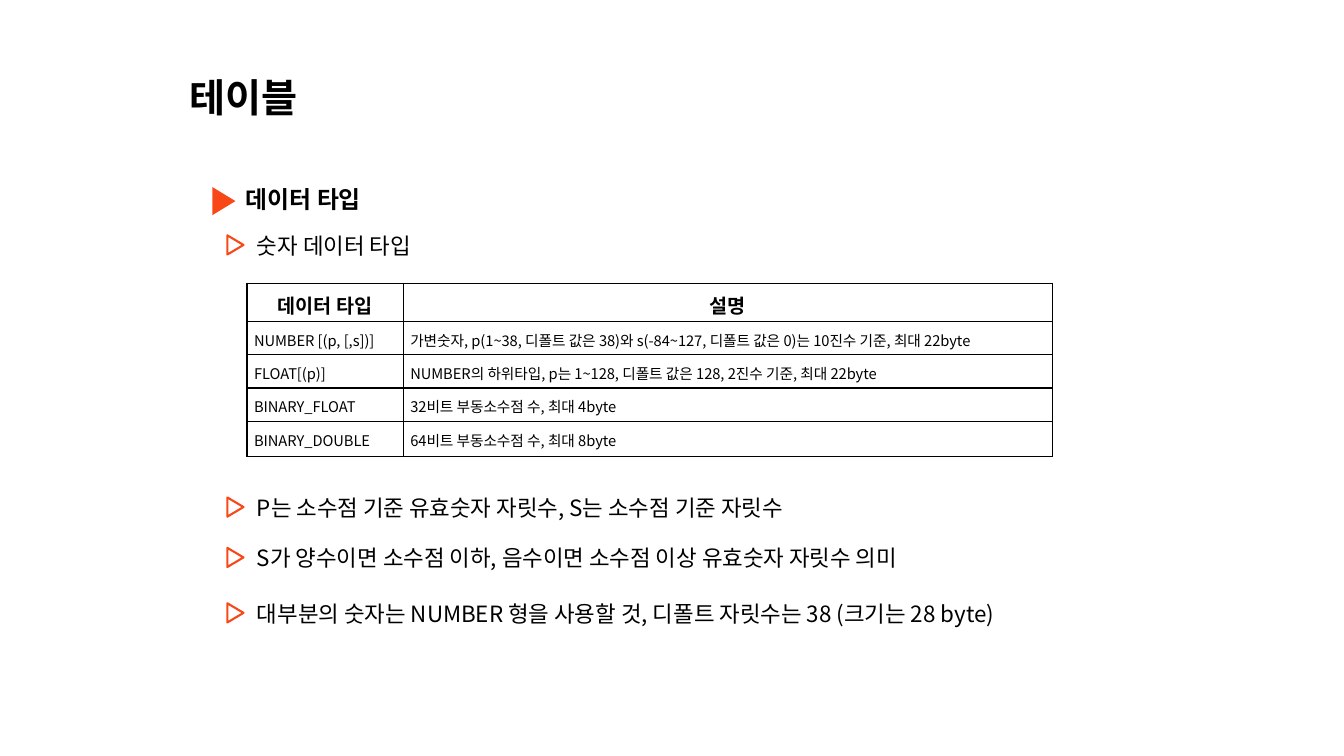
from pptx import Presentation
from pptx.dml.color import RGBColor
from pptx.enum.shapes import MSO_SHAPE
from pptx.enum.text import MSO_ANCHOR, MSO_AUTO_SIZE, PP_ALIGN
from pptx.oxml import parse_xml
from pptx.oxml.ns import nsdecls
from pptx.util import Inches, Pt

FONT = "Noto Sans CJK KR"
COLORS = {"text": "000000", "accent": "F84818", "paper": "FFFFFF"}
COLUMN_WIDTHS = [1.55, 6.44]
ROW_HEIGHTS = [0.38, 0.33, 0.33, 0.33, 0.35]
DATA_TYPES = [
    ["데이터 타입", "설명"],
    ["NUMBER [(p, [,s])]",
     "가변숫자, p(1~38, 디폴트 값은 38)와 s(-84~127, 디폴트 값은 0)는 10진수 기준, 최대 22byte"],
    ["FLOAT[(p)]", "NUMBER의 하위타입, p는 1~128, 디폴트 값은 128, 2진수 기준, 최대 22byte"],
    ["BINARY_FLOAT", "32비트 부동소수점 수, 최대 4byte"],
    ["BINARY_DOUBLE", "64비트 부동소수점 수, 최대 8byte"],
]
POINTS = [
    (2.25, "숫자 데이터 타입"),
    (4.85, "P는 소수점 기준 유효숫자 자릿수, S는 소수점 기준 자릿수"),
    (5.35, "S가 양수이면 소수점 이하, 음수이면 소수점 이상 유효숫자 자릿수 의미"),
    (5.9, "대부분의 숫자는 NUMBER 형을 사용할 것, 디폴트 자릿수는 38 (크기는 28 byte)"),
]


def color(name):
    return RGBColor.from_string(COLORS[name])


def add_span(para, text, size, bold=False):
    span = para.add_run()
    span.text = text
    span.font.name = FONT
    span.font.size = Pt(size)
    span.font.bold = bold
    span.font.color.rgb = color("text")
    span.font._element.append(
        parse_xml(f'<a:ea {nsdecls("a")} typeface="{FONT}"/>'))


def fill_box(box, text, size, bold=False):
    frame = box.text_frame
    frame.word_wrap = True
    frame.auto_size = MSO_AUTO_SIZE.SHAPE_TO_FIT_TEXT
    frame.vertical_anchor = MSO_ANCHOR.TOP
    para = frame.paragraphs[0]
    para.alignment = PP_ALIGN.LEFT
    add_span(para, text, size, bold)


def set_title(page, text):
    title = page.shapes.title
    title.left, title.top = Inches(1.78), Inches(0.68)
    title.width, title.height = Inches(4.41), Inches(0.57)
    fill_box(title, text, 28, bold=True)


def add_line_of_text(page, left, top, width, height, text, size, bold=False):
    box = page.shapes.add_textbox(
        Inches(left), Inches(top), Inches(width), Inches(height))
    fill_box(box, text, size, bold)


def add_marker(page, left, top, width, height, fill, outlined):
    marker = page.shapes.add_shape(
        MSO_SHAPE.FLOWCHART_EXTRACT,
        Inches(left), Inches(top), Inches(width), Inches(height))
    marker.rotation = 90
    marker.shadow.inherit = False
    marker.fill.solid()
    marker.fill.fore_color.rgb = color(fill)
    if outlined:
        marker.line.color.rgb = color("accent")
        marker.line.width = Pt(1.5)
    else:
        marker.line.fill.background()


def add_heading(page, text):
    add_line_of_text(page, 2.34, 1.78, 5, 0.39, text, 17, bold=True)
    add_marker(page, 2.08, 1.88, 0.28, 0.23, "accent", outlined=False)


def add_point(page, top, text):
    add_line_of_text(page, 2.45, top, 9.25, 0.37, text, 16)
    add_marker(page, 2.24, top + 0.1, 0.19, 0.16, "paper", outlined=True)


def format_cell(cell, text, header):
    cell.fill.background()
    cell.vertical_anchor = MSO_ANCHOR.MIDDLE
    cell.margin_left = cell.margin_right = Inches(0.07)
    cell.margin_top = cell.margin_bottom = 0
    properties = cell._tc.get_or_add_tcPr()
    for position, side in enumerate("LRTB"):
        properties.insert(position, parse_xml(
            f'<a:ln{side} {nsdecls("a")} w="{Pt(1)}"><a:solidFill>'
            f'<a:srgbClr val="{COLORS["text"]}"/></a:solidFill></a:ln{side}>'))
    para = cell.text_frame.paragraphs[0]
    para.alignment = PP_ALIGN.CENTER if header else PP_ALIGN.JUSTIFY
    para.line_spacing = 1.15
    add_span(para, text, 14 if header else 10.5, bold=header)


def add_type_table(page):
    table = page.shapes.add_table(
        len(DATA_TYPES), len(COLUMN_WIDTHS), Inches(2.45), Inches(2.81),
        Inches(sum(COLUMN_WIDTHS)), Inches(sum(ROW_HEIGHTS))).table
    table.first_row = False
    table.horz_banding = False
    for column, width in zip(table.columns, COLUMN_WIDTHS):
        column.width = Inches(width)
    for index, (row, height) in enumerate(zip(table.rows, ROW_HEIGHTS)):
        row.height = Inches(height)
        for cell, text in zip(row.cells, DATA_TYPES[index]):
            format_cell(cell, text, header=index == 0)


def main():
    deck = Presentation()
    deck.slide_width, deck.slide_height = Inches(13.33), Inches(7.5)
    page = deck.slides.add_slide(deck.slide_layouts.get_by_name("Title Only"))
    set_title(page, "테이블")
    add_heading(page, "데이터 타입")
    for top, text in POINTS:
        add_point(page, top, text)
    add_type_table(page)
    deck.save("out.pptx")


if __name__ == "__main__":
    main()
